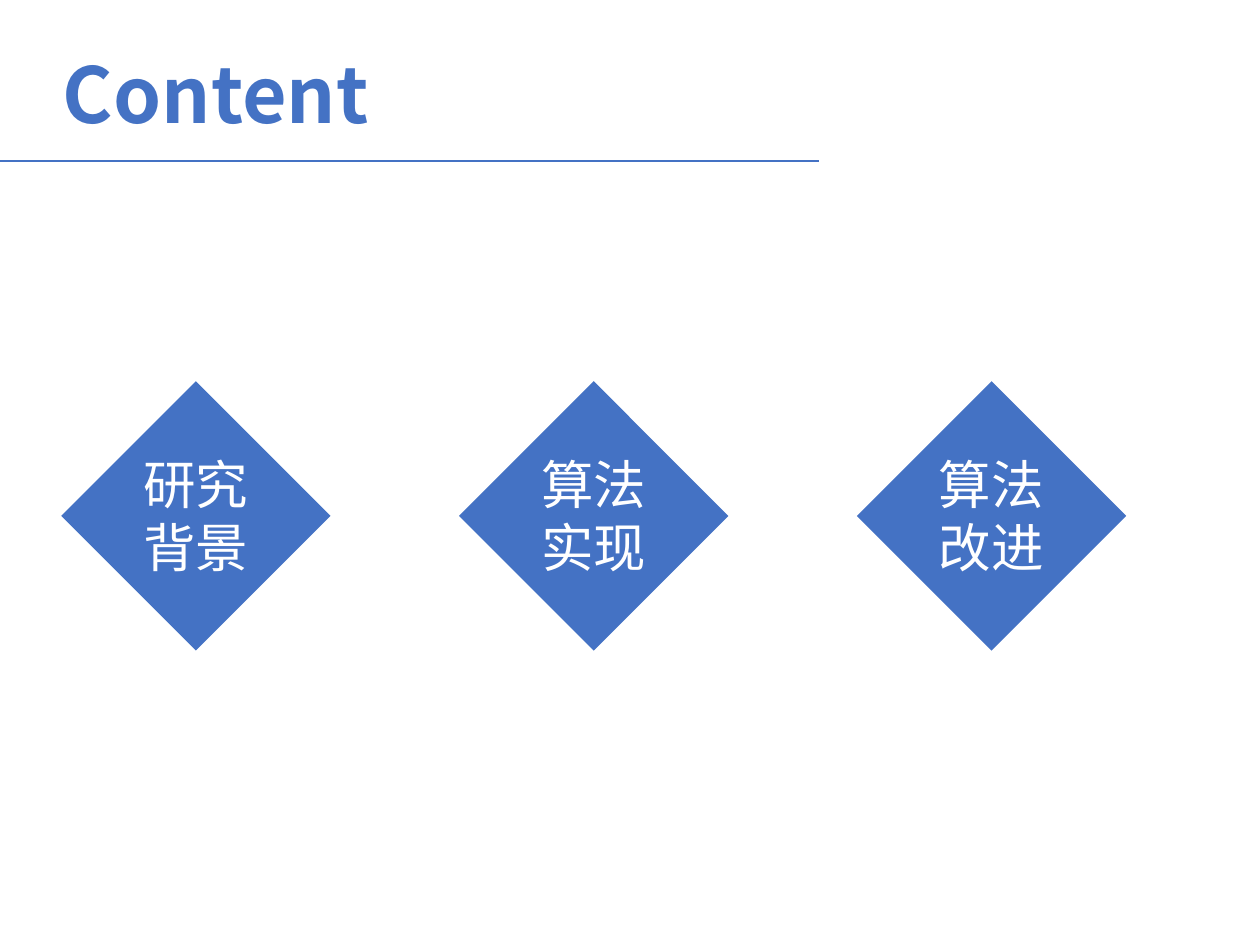
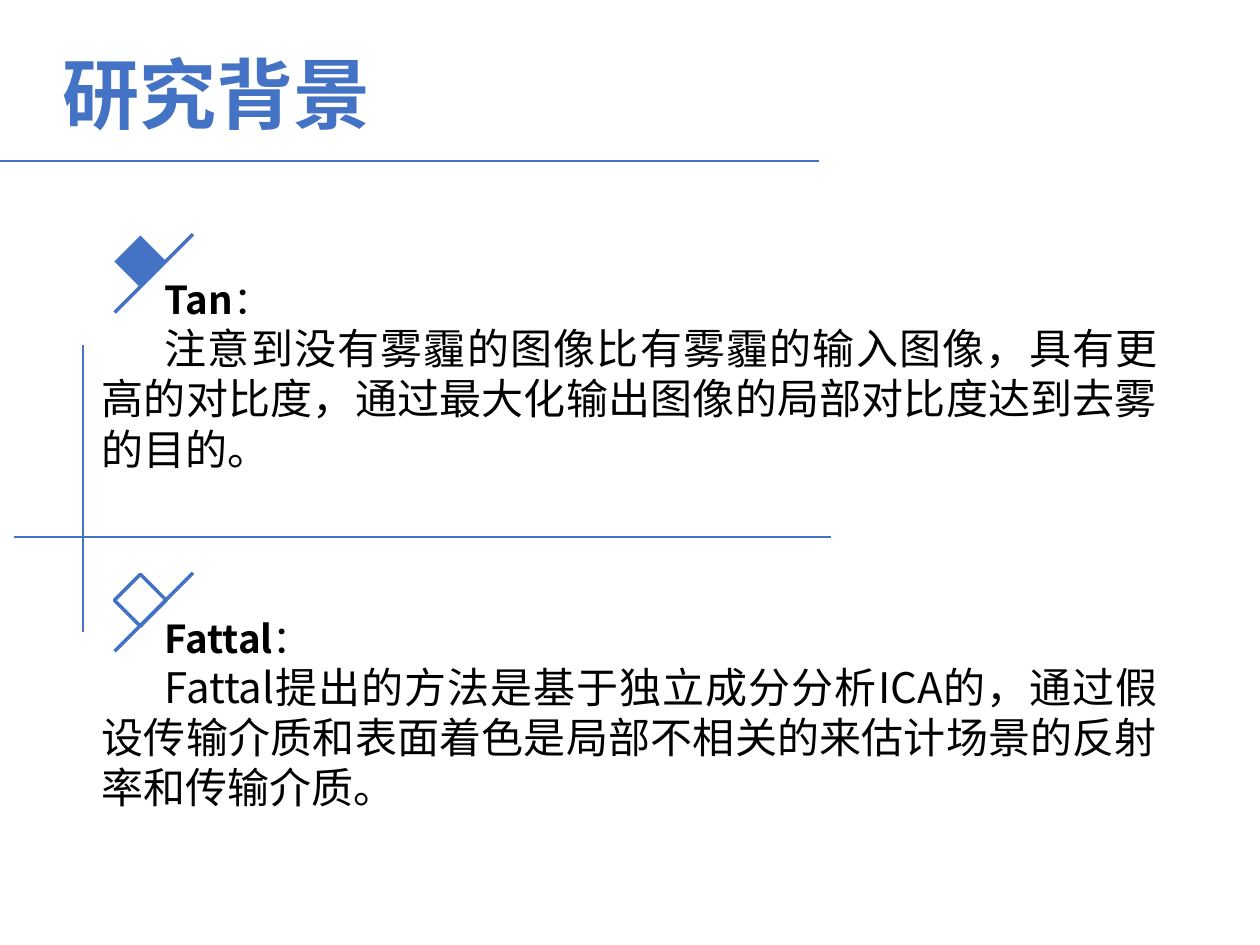
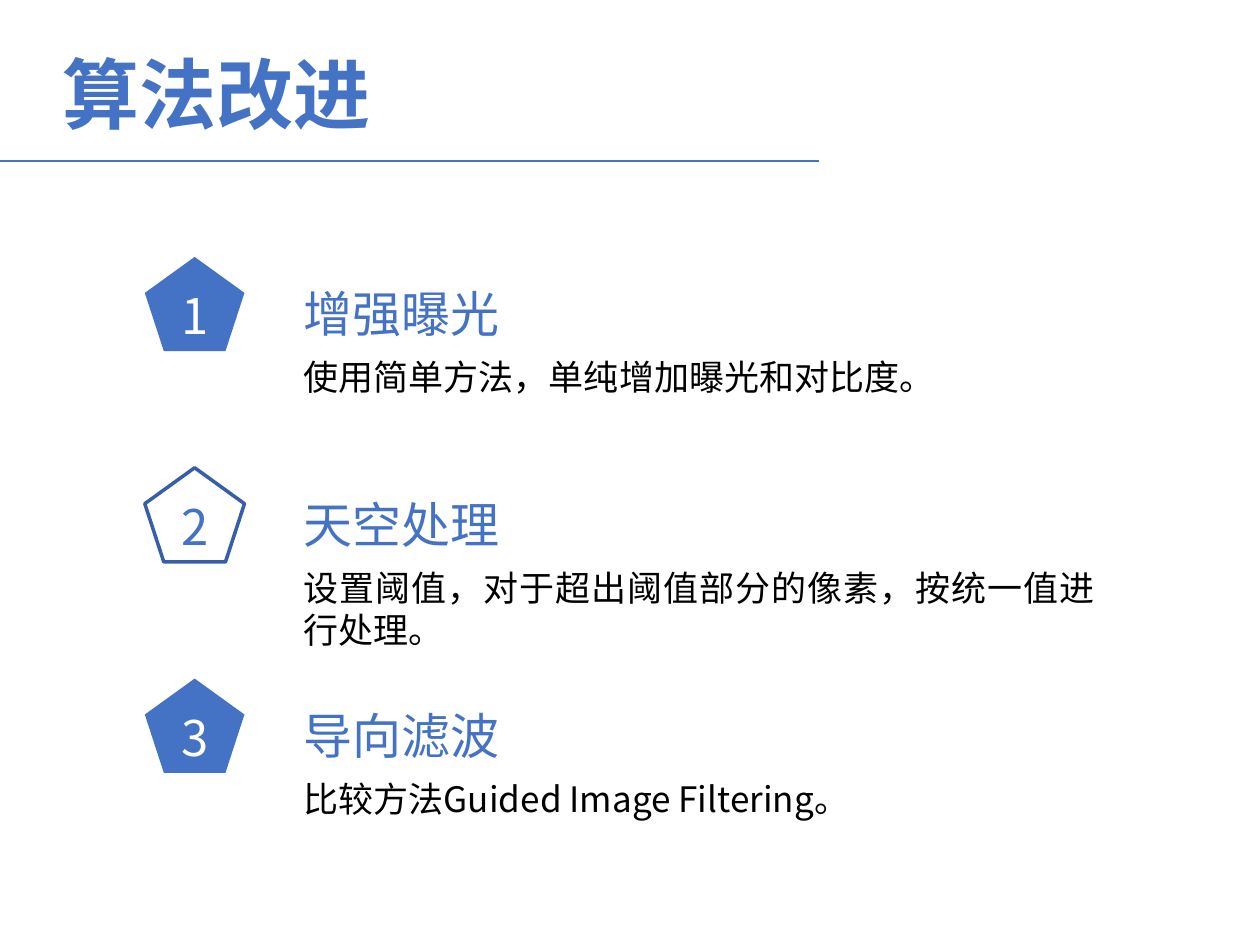
"""Build three slides on image dehazing: contents, background and improvements."""
from dataclasses import dataclass

import pptx
import pptx.dml.color
import pptx.enum.shapes
import pptx.enum.text
import pptx.oxml.ns
import pptx.util

Cm = pptx.util.Cm
Preset = pptx.enum.shapes.MSO_SHAPE
Align = pptx.enum.text.PP_ALIGN
RGB = pptx.dml.color.RGBColor


@dataclass(frozen=True)
class Theme:
    font: str = "Noto Sans CJK SC"
    accent: RGB = RGB(0x44, 0x72, 0xC4)
    outline: RGB = RGB(0x36, 0x5F, 0xAA)
    ink: RGB = RGB(0, 0, 0)
    paper: RGB = RGB(0xFF, 0xFF, 0xFF)
    title: int = 44
    topic: int = 30
    heading: int = 28
    prose: int = 24
    author: int = 22
    detail: int = 20
    thin: float = 1.25
    thick: float = 2


theme = Theme()


def write(shape, text, size, color=theme.ink, bold=False, align=Align.JUSTIFY, indent=0, join=False):
    frame = shape.text_frame
    frame.word_wrap = True
    paragraph = frame.paragraphs[-1]
    if paragraph.runs and not join:
        paragraph = frame.add_paragraph()
    paragraph.alignment = align
    if indent:
        properties = paragraph._p.get_or_add_pPr()
        properties.set("marL", "0")
        properties.set("indent", str(Cm(indent)))
    run = paragraph.add_run()
    run.text = text
    run.font.size = pptx.util.Pt(size)
    run.font.bold = bold
    run.font.color.rgb = color
    run.font.name = theme.font
    east_asian = pptx.oxml.parse_xml(f'<a:ea {pptx.oxml.ns.nsdecls("a")} typeface="{theme.font}"/>')
    run._r.get_or_add_rPr().append(east_asian)


def draw(slide, preset, left, top, width, height, fill=None, line=None, weight=theme.thick):
    if preset is None:
        shape = slide.shapes.add_connector(
            pptx.enum.shapes.MSO_CONNECTOR.STRAIGHT,
            Cm(left), Cm(top), Cm(left + width), Cm(top + height))
        effects = pptx.oxml.parse_xml(f'<a:effectLst {pptx.oxml.ns.nsdecls("a")}/>')
        shape._element.spPr.append(effects)
    else:
        shape = slide.shapes.add_shape(preset, Cm(left), Cm(top), Cm(width), Cm(height))
        shape.shadow.inherit = False
        if fill is None:
            shape.fill.background()
        else:
            shape.fill.solid()
            shape.fill.fore_color.rgb = fill
    if line is None:
        shape.line.fill.background()
    else:
        shape.line.color.rgb = line
        shape.line.width = pptx.util.Pt(weight)
    return shape


deck = pptx.Presentation()
deck.slide_width, deck.slide_height = Cm(25.4), Cm(19.05)

slides = []
for title in ("Content", "研究背景", "算法改进"):
    slide = deck.slides.add_slide(deck.slide_layouts[6])
    draw(slide, None, 0, 3.25, 16.51, 0, line=theme.accent, weight=theme.thin)
    banner = slide.shapes.add_textbox(Cm(1.02), Cm(0.81), Cm(20.4), Cm(1.8))
    write(banner, title, theme.title, theme.accent, bold=True, align=Align.LEFT)
    slides.append(slide)
contents, background, improvements = slides

for column, topic in enumerate(("研究背景", "算法实现", "算法改进")):
    left = 2.03 + column * 8.02
    diamond = draw(contents, Preset.RECTANGLE, left, 8.48, 3.84, 3.84, fill=theme.accent)
    diamond.rotation = 315
    label = contents.shapes.add_textbox(Cm(left + 0.2), Cm(8.99), Cm(3.43), Cm(2.82))
    write(label, topic, theme.topic, theme.paper, align=Align.CENTER)

studies = (
    ("Tan", "注意到没有雾霾的图像比有雾霾的输入图像，具有更高的对比度，"
            "通过最大化输出图像的局部对比度达到去雾的目的。",
     {"fill": theme.accent}),
    ("Fattal", "Fattal提出的方法是基于独立成分分析ICA的，"
               "通过假设传输介质和表面着色是局部不相关的来估计场景的反射率和传输介质。",
     {"line": theme.accent}),
)
for row, (author, method, marker_style) in enumerate(studies):
    top = 4.72 + row * 6.83
    marker = draw(background, Preset.RECTANGLE, 2.46, top + 0.18, 0.74, 0.74, **marker_style)
    marker.rotation = 315
    draw(background, None, 3.89, top, -1.58, 1.58, line=theme.accent)
    study = background.shapes.add_textbox(Cm(1.8), Cm(top + 0.72), Cm(21.79), Cm(4.27))
    write(study, author, theme.author, bold=True, indent=1.27)
    write(study, "：", theme.author, indent=1.27, join=True)
    write(study, method, theme.prose, indent=1.27)
draw(background, None, 0.28, 10.82, 16.48, 0, line=theme.accent, weight=theme.thin)
draw(background, None, 1.68, 6.96, 0, 5.79, line=theme.accent, weight=theme.thin)

solid = {"fill": theme.accent}
hollow = {"line": theme.outline}
steps = (
    ("增强曝光", "使用简单方法，单纯增加曝光和对比度。", 1.12, solid, theme.paper),
    ("天空处理", "设置阈值，对于超出阈值部分的像素，按统一值进行处理。", 1.96, hollow, theme.accent),
    ("导向滤波", "比较方法Guided Image Filtering。", 1.12, solid, theme.paper),
)
for row, (heading, detail, detail_height, badge_style, number_color) in enumerate(steps):
    top = 5.18 + row * 4.25
    badge = draw(improvements, Preset.REGULAR_PENTAGON, 2.92, top, 2.01, 1.9, **badge_style)
    write(badge, str(row + 1), theme.heading, number_color, align=Align.CENTER)
    step = improvements.shapes.add_textbox(Cm(5.87), Cm(top + 0.41), Cm(8.64), Cm(1.45))
    write(step, heading, theme.heading, theme.accent)
    explanation = improvements.shapes.add_textbox(
        Cm(5.87), Cm(top + 1.86), Cm(16.46), Cm(detail_height))
    write(explanation, detail, theme.detail)

deck.save("out.pptx")
